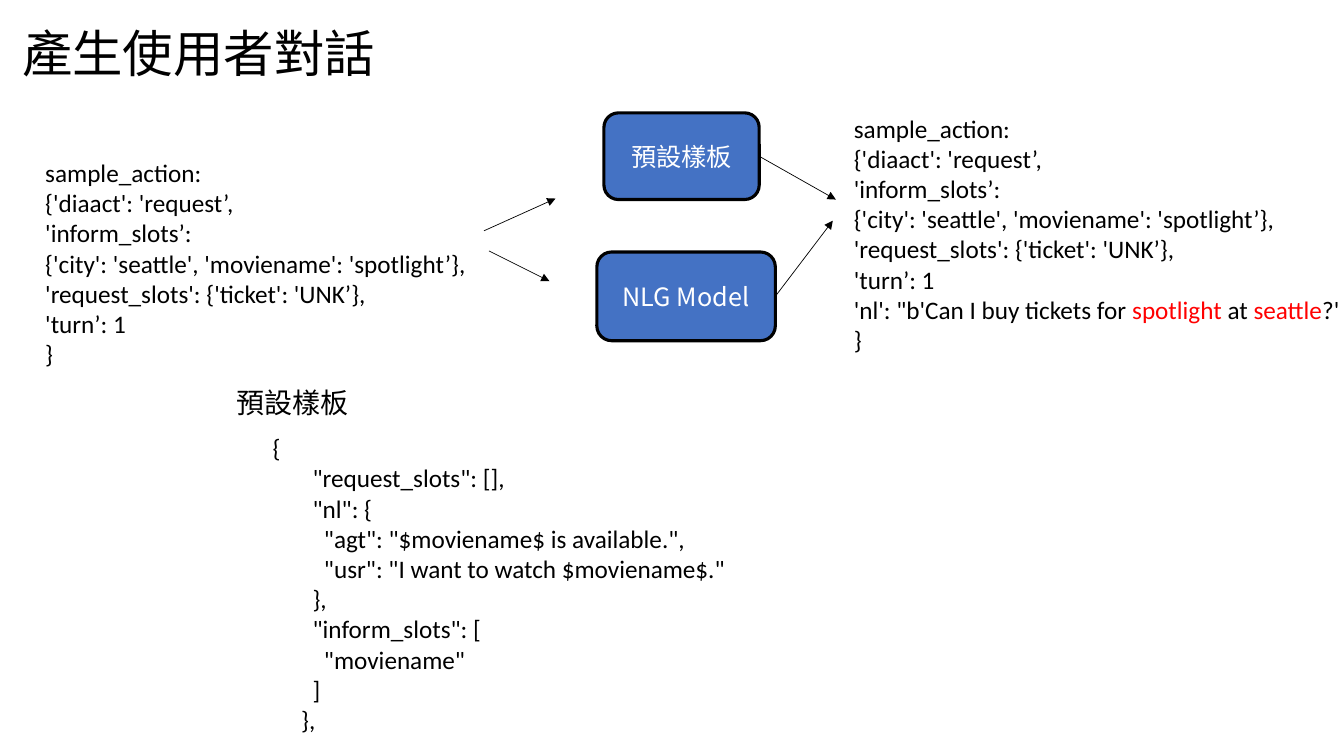
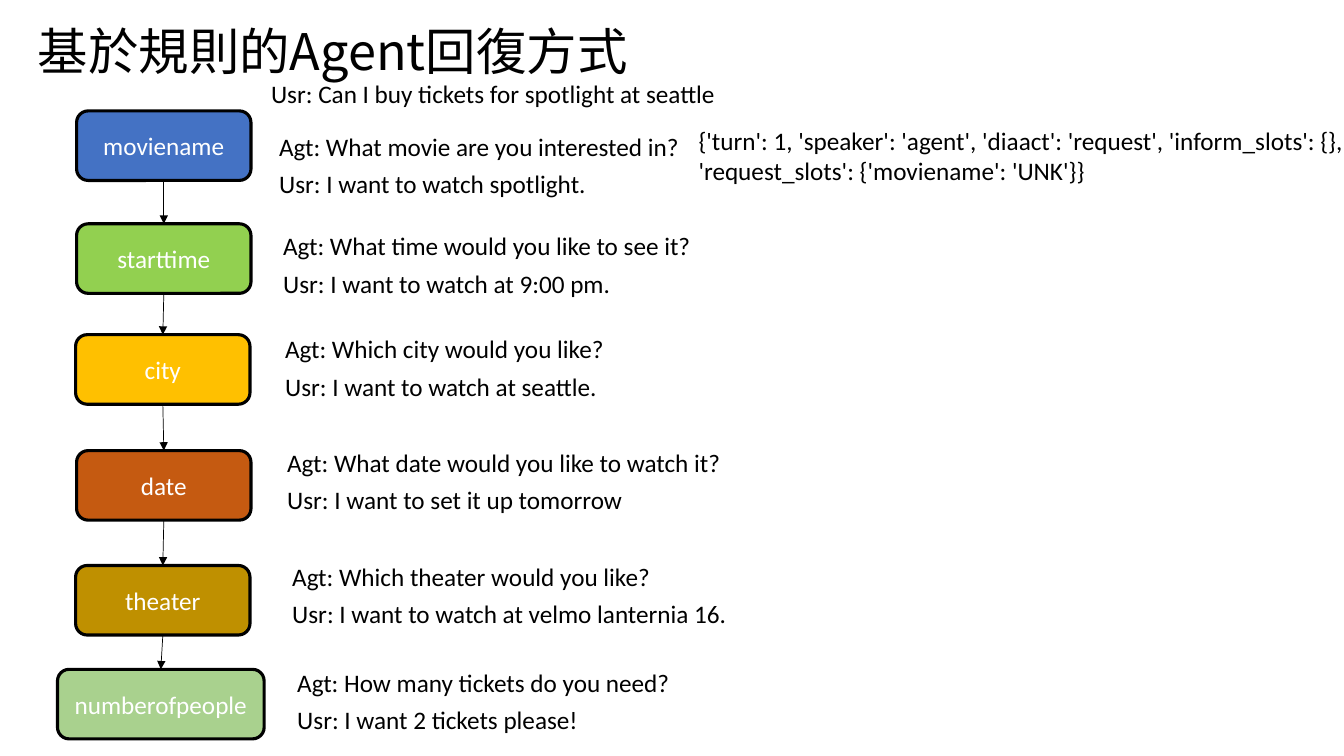
from lxml import etree
from pptx import Presentation
from pptx.dml.color import RGBColor
from pptx.enum.shapes import MSO_CONNECTOR, MSO_SHAPE
from pptx.enum.text import MSO_ANCHOR, PP_ALIGN
from pptx.oxml.ns import qn
from pptx.util import Inches, Pt

STRAIGHT = MSO_CONNECTOR.STRAIGHT
ROUNDED = MSO_SHAPE.ROUNDED_RECTANGLE
MIDDLE = MSO_ANCHOR.MIDDLE
LEFT, CENTER = PP_ALIGN.LEFT, PP_ALIGN.CENTER
TOP_SIDE, BOTTOM_SIDE, RIGHT_SIDE = 0, 2, 3

BLACK = RGBColor(0x00, 0x00, 0x00)
WHITE = RGBColor(0xFF, 0xFF, 0xFF)
RED = RGBColor(0xFF, 0x00, 0x00)
BLUE = RGBColor(0x44, 0x72, 0xC4)
LIME = RGBColor(0x92, 0xD0, 0x50)
AMBER = RGBColor(0xFF, 0xC0, 0x00)
RUST = RGBColor(0xC5, 0x5A, 0x11)
OCHRE = RGBColor(0xBF, 0x90, 0x00)
SAGE = RGBColor(0xA9, 0xD1, 0x8E)

LATIN, CHINESE = "Calibri", "Noto Sans CJK SC"
BODY = {"size": Pt(18), "name": LATIN}
TITLE = {"size": Pt(36), "name": CHINESE}
HEADING = {"size": Pt(20), "name": CHINESE}
BOX_CHINESE = {"size": Pt(18), "name": CHINESE}

INDENT_POINTS = 4.07
USER_OFFSET = 0.37
SLOT_WIDTH, SLOT_HEIGHT = 1.73, 0.69

ACTION = [
    "sample_action:",
    "{'diaact': 'request’,",
    "'inform_slots’:",
    "{'city': 'seattle', 'moviename': 'spotlight’},",
    "'request_slots': {'ticket': 'UNK’},",
    "'turn’: 1",
]
SENTENCE = [
    ("'nl': \"b'Can I buy tickets for ", BLACK),
    ("spotlight", RED),
    (" at ", BLACK),
    ("seattle", RED),
    ("?'", BLACK),
]
TEMPLATE = [
    (1, "{"),
    (8, '"request_slots": [],'),
    (8, '"nl": {'),
    (10, '"agt": "$moviename$ is available.",'),
    (10, '"usr": "I want to watch $moviename$."'),
    (8, "},"),
    (8, '"inform_slots": ['),
    (10, '"moviename"'),
    (8, "]"),
    (6, "},"),
]
SLOTS = [
    ("moviename", BLUE, 0.76, 1.1, SLOT_WIDTH),
    ("starttime", LIME, 0.76, 2.22, SLOT_WIDTH),
    ("city", AMBER, 0.75, 3.32, SLOT_WIDTH),
    ("date", RUST, 0.76, 4.47, SLOT_WIDTH),
    ("theater", OCHRE, 0.75, 5.61, SLOT_WIDTH),
    ("numberofpeople", SAGE, 0.57, 6.64, 2.05),
]
DIALOGUE = [
    (2.67, 1.25, "What movie are you interested in?", "I want to watch spotlight."),
    (2.71, 2.24, "What time would you like to see it?", "I want to watch at 9:00 pm."),
    (2.73, 3.26, "Which city would you like?", "I want to watch at seattle."),
    (2.75, 4.39, "What date would you like to watch it?", "I want to set it up tomorrow"),
    (2.8, 5.52, "Which theater would you like?", "I want to watch at velmo lanternia 16."),
    (2.85, 6.57, "How many tickets do you need?", "I want 2 tickets please!"),
]


def add_span(para, text, style, color):
    span = para.add_run()
    span.text = text
    span.font.color.rgb = color
    for attribute, value in style.items():
        setattr(span.font, attribute, value)
    east_asian = etree.SubElement(span.font._element, qn("a:ea"))
    east_asian.set("typeface", style["name"])


def fill_frame(frame, lines, style, color, align):
    frame.word_wrap = True
    for index, line in enumerate(lines):
        para = frame.add_paragraph() if index else frame.paragraphs[0]
        para.alignment = align
        spans = [(line, color)] if isinstance(line, str) else line
        for text, span_color in spans:
            add_span(para, text, style, span_color)


def add_text(page, bounds, lines, style=BODY, align=LEFT):
    box = page.shapes.add_textbox(*map(Inches, bounds))
    fill_frame(box.text_frame, lines, style, BLACK, align)
    return box


def add_indented_text(page, bounds, lines):
    box = add_text(page, bounds, [text for _, text in lines])
    for para, (steps, _) in zip(box.text_frame.paragraphs, lines):
        para._p.get_or_add_pPr().set("marL", str(Pt(steps * INDENT_POINTS)))


def add_title(page, bounds, text):
    add_text(page, bounds, [text], TITLE, CENTER)


def add_box(page, bounds, text, color, style=BODY):
    box = page.shapes.add_shape(ROUNDED, *map(Inches, bounds))
    box.shadow.inherit = False
    box.fill.solid()
    box.fill.fore_color.rgb = color
    box.line.color.rgb = BLACK
    box.line.width = Pt(2.25)
    box.text_frame.vertical_anchor = MIDDLE
    fill_frame(box.text_frame, [text], style, WHITE, CENTER)
    return box


def add_arrow(page, start=(0, 0), end=(0, 0), source=None, target=None):
    arrow = page.shapes.add_connector(STRAIGHT, *map(Inches, (*start, *end)))
    if source:
        arrow.begin_connect(*source)
    if target:
        arrow.end_connect(*target)
    arrow.line.color.rgb = BLACK
    arrow.line.width = Pt(0.5)
    etree.SubElement(arrow.line._get_or_add_ln(), qn("a:tailEnd")).set("type", "triangle")
    etree.SubElement(arrow._element.spPr, qn("a:effectLst"))


def build_user_page(page):
    add_title(page, (-0.11, 0.17, 4.16, 0.71), "產生使用者對話")
    add_text(page, (0.35, 1.51, 5.15, 2.22), ACTION + ["}"])
    add_text(page, (8.37, 1.07, 5.15, 2.52), ACTION + [SENTENCE, "}"])
    preset = add_box(page, (5.99, 1.12, 1.54, 0.86), "預設樣板", BLUE, BOX_CHINESE)
    model = add_box(page, (5.92, 2.5, 1.77, 0.88), "NLG Model", BLUE, BOX_CHINESE)
    add_arrow(page, (4.8, 2.29), (5.51, 1.97))
    add_arrow(page, (4.85, 2.49), (5.45, 2.79))
    add_arrow(page, end=(8.29, 1.98), source=(preset, RIGHT_SIDE))
    add_arrow(page, end=(8.26, 2.19), source=(model, RIGHT_SIDE))
    add_text(page, (2.25, 3.78, 1.94, 0.44), ["預設樣板"], HEADING)
    add_indented_text(page, (2.55, 4.24, 6.67, 3.13), TEMPLATE)


def build_agent_page(page):
    add_title(page, (-0.32, 0.15, 7.24, 0.71), "基於規則的Agent回復方式")
    boxes = [
        add_box(page, (left, top, width, SLOT_HEIGHT), name, color)
        for name, color, left, top, width in SLOTS
    ]
    for upper, lower in zip(boxes, boxes[1:]):
        add_arrow(page, source=(upper, BOTTOM_SIDE), target=(lower, TOP_SIDE))
    add_text(page, (2.59, 0.73, 6.83, 0.4), ["Usr: Can I buy tickets for spotlight at seattle"])
    add_text(page, (6.83, 1.19, 6.83, 0.71), [
        "{'turn': 1, 'speaker': 'agent', 'diaact': 'request', 'inform_slots': {}, "
        "'request_slots': {'moviename': 'UNK'}}"
    ])
    for left, top, question, answer in DIALOGUE:
        add_text(page, (left, top, 6.83, 0.4), [f"Agt: {question}"])
        add_text(page, (left, top + USER_OFFSET, 6.83, 0.4), [f"Usr: {answer}"])


def main():
    deck = Presentation()
    deck.slide_width, deck.slide_height = Inches(13.33), Inches(7.5)
    for build in (build_user_page, build_agent_page):
        build(deck.slides.add_slide(deck.slide_layouts[6]))
    deck.save("out.pptx")


if __name__ == "__main__":
    main()
